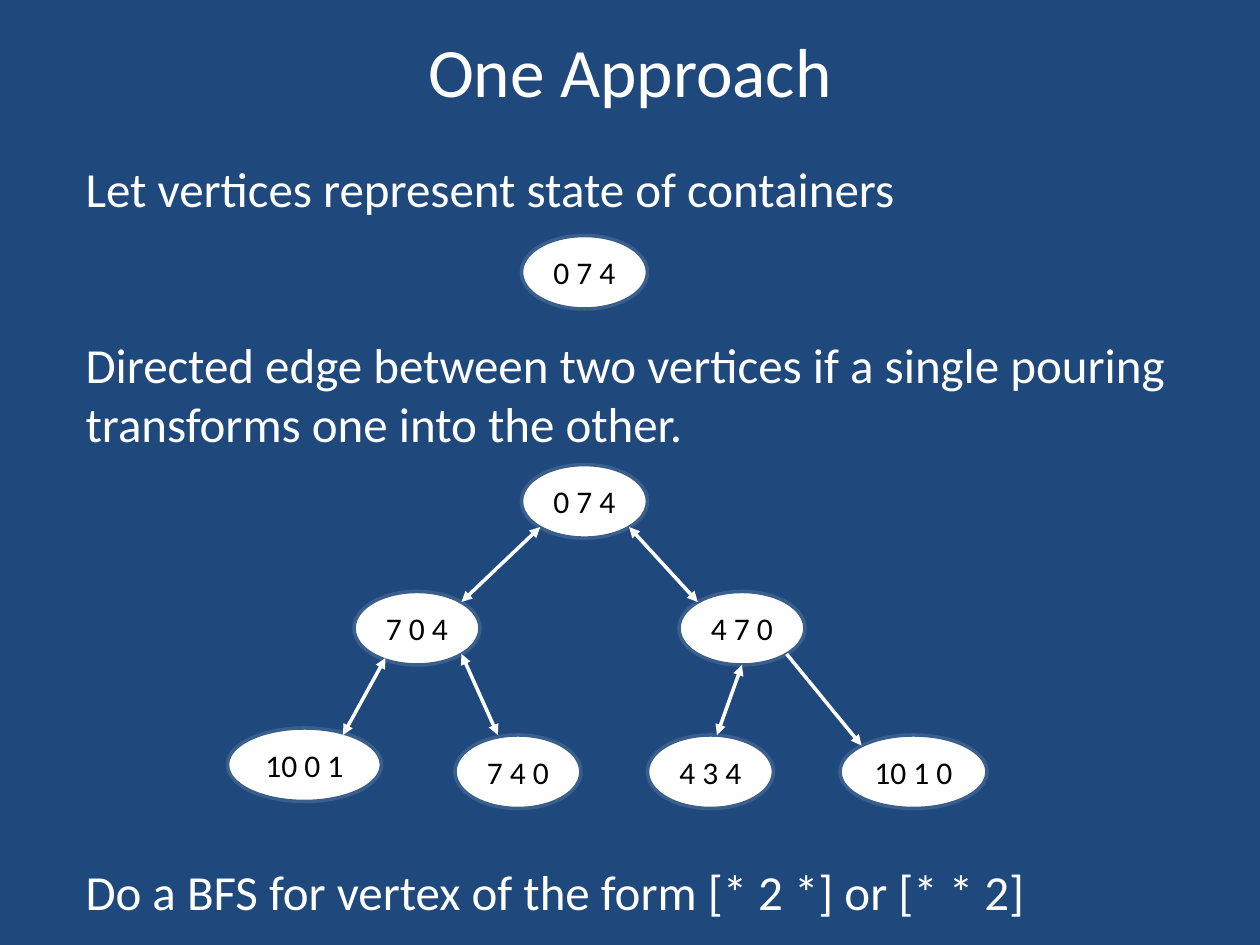
from lxml import etree
from pptx import Presentation
from pptx import util as u
from pptx.dml.color import RGBColor
from pptx.enum import shapes, text
from pptx.oxml.ns import qn

NAVY = RGBColor(0x1F, 0x49, 0x7D)
STEEL = RGBColor(0x3A, 0x5F, 0x8C)
WHITE = RGBColor(0xFF, 0xFF, 0xFF)
BLACK = RGBColor(0, 0, 0)
NODE_HEIGHT = 42


def style(paragraph, size, color, align):
    paragraph.alignment = align
    for run in paragraph.runs:
        run.font.name = "Calibri"
        run.font.size = u.Pt(size)
        run.font.color.rgb = color


prs = Presentation()
prs.slide_width, prs.slide_height = u.Pt(720), u.Pt(540)
slide = prs.slides.add_slide(prs.slide_layouts[6])
slide.background.fill.solid()
slide.background.fill.fore_color.rgb = NAVY

heading = slide.shapes.add_textbox(u.Pt(36), u.Pt(12), u.Pt(648), u.Pt(56)).text_frame
heading.word_wrap = True
heading.vertical_anchor = text.MSO_ANCHOR.MIDDLE
heading.text = "One Approach"
style(heading.paragraphs[0], 39.6, WHITE, text.PP_ALIGN.CENTER)

steps = slide.shapes.add_textbox(u.Pt(41.8), u.Pt(87), u.Pt(636), u.Pt(448.6)).text_frame
steps.word_wrap = True
steps.text = "\n".join([
    "Let vertices represent state of containers",
    "Directed edge between two vertices if a single pouring transforms one into the other.",
    "Do a BFS for vertex of the form [* 2 *] or [* * 2]",
])
for step, gap in zip(steps.paragraphs, (0, 67, 234)):
    step.space_before = u.Pt(gap)
    style(step, 28, WHITE, text.PP_ALIGN.LEFT)

states = [
    ("0 7 4", 298, 134.6, 72),
    ("0 7 4", 298, 265.5, 72),
    ("7 0 4", 202.3, 338, 72),
    ("4 7 0", 388, 338, 72),
    ("10 0 1", 130, 416, 88),
    ("7 4 0", 260, 420, 72),
    ("4 3 4", 370, 420, 72),
    ("10 1 0", 480, 420, 84),
]
for label, left, top, width in states:
    state = slide.shapes.add_shape(
        shapes.MSO_SHAPE.OVAL, u.Pt(left), u.Pt(top), u.Pt(width), u.Pt(NODE_HEIGHT))
    state.shadow.inherit = False
    state.fill.solid()
    state.fill.fore_color.rgb = WHITE
    state.line.color.rgb = STEEL
    state.line.width = u.Pt(2)
    state.text_frame.word_wrap = False
    state.text_frame.vertical_anchor = text.MSO_ANCHOR.MIDDLE
    state.text_frame.text = label
    style(state.text_frame.paragraphs[0], 18, BLACK, text.PP_ALIGN.CENTER)

BOTH, FORWARD = ("headEnd", "tailEnd"), ("tailEnd",)
pourings = [
    (308.7, 301.2, 263.7, 344, BOTH),
    (359.5, 301.2, 398.7, 344, BOTH),
    (220.3, 376, 196, 420, BOTH),
    (263.7, 373.7, 284.5, 420, BOTH),
    (424, 380, 409.7, 420, BOTH),
    (449.5, 373.7, 492.3, 426, FORWARD),
]
for x1, y1, x2, y2, ends in pourings:
    pouring = slide.shapes.add_connector(
        shapes.MSO_CONNECTOR.STRAIGHT, u.Pt(x1), u.Pt(y1), u.Pt(x2), u.Pt(y2))
    pouring.line.color.rgb = WHITE
    pouring.line.width = u.Pt(2)
    outline = pouring.line._get_or_add_ln()
    for end in ends:
        etree.SubElement(outline, qn(f"a:{end}"), type="triangle")
    etree.SubElement(pouring._element.spPr, qn("a:effectLst"))

prs.save("out.pptx")
